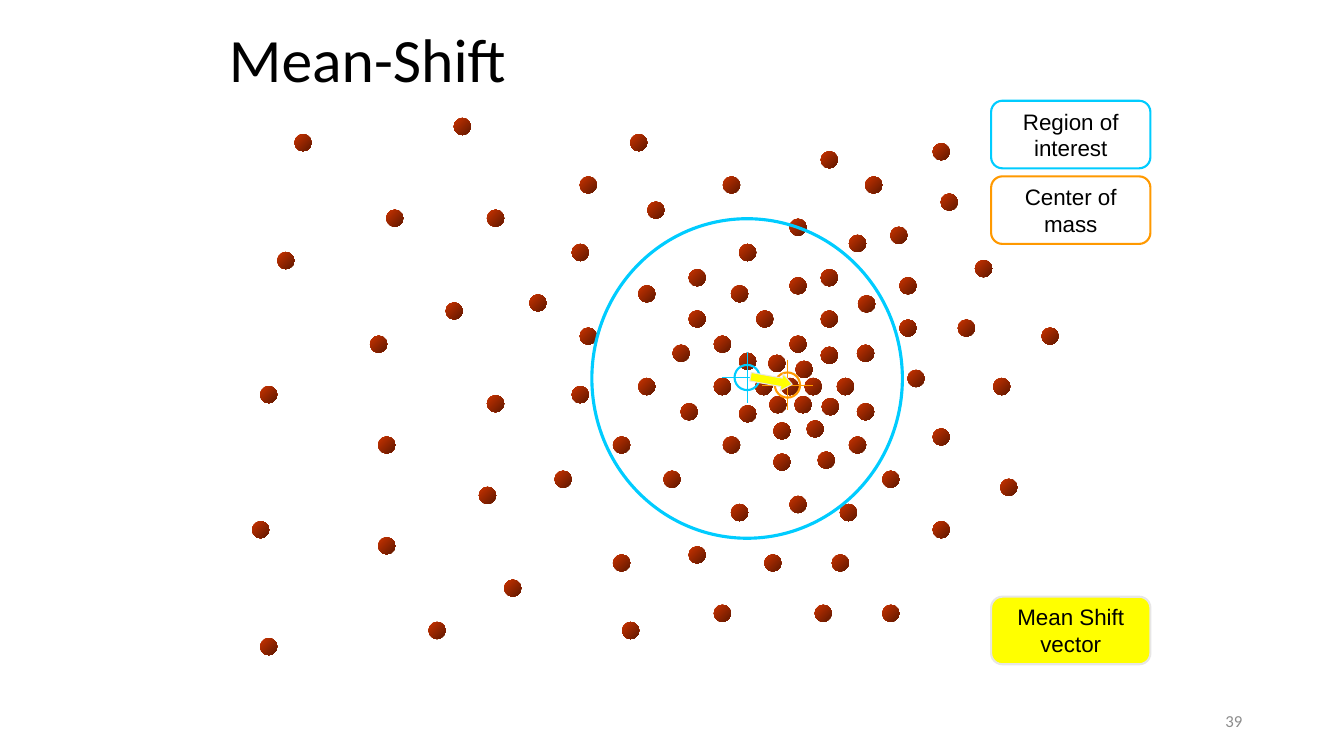
from pptx import Presentation
from pptx.dml.color import RGBColor
from pptx.enum import shapes, text
from pptx.oxml import ns
from pptx.util import Inches, Pt
from lxml import etree

COLORS = {"dot_light": "CC3300", "dot_dark": "5E1800", "region": "00CCFF",
          "mass": "FF9900", "vector": "FFFF00", "edge": "E7E6E6",
          "text": "000000", "number": "8C8C8C"}
SHAPE = shapes.MSO_SHAPE
DOT = 0.17

# Top left corners of the data points, in inches
POINTS = [
    # dense cluster
    (7.75, 3.75), (7.98, 3.75), (7.89, 3.58), (7.62, 3.52), (7.88, 3.93), (7.63, 3.93),
    (8.15, 3.95), (7.49, 3.75), (8.3, 3.75), (8.14, 3.44), (7.83, 3.33), (8, 4.17),
    (7.67, 4.19), (7.33, 4.02), (7.08, 3.75), (7.33, 3.5), (8.5, 4), (8.42, 4.33),
    (8.11, 4.48), (7.67, 4.5), (7.17, 4.33), (6.75, 4), (6.67, 3.42), (7.08, 3.33),
    (7.5, 3.08), (8.14, 3.08), (7.83, 2.75), (6.83, 3.08), (7.25, 2.83), (7.83, 2.17),
    (7.33, 2.42), (8.14, 2.67),
    # right side
    (8.14, 1.5), (8.42, 2.33), (8.51, 2.93), (8.5, 3.42), (8.92, 3.17), (8.92, 2.75),
    (8.83, 2.25), (8.58, 1.75), (9.25, 1.42), (9.33, 1.92), (9.67, 2.58), (9, 3.67),
    (9.5, 3.17), (10.33, 3.25), (9.25, 4.25), (9.85, 3.75), (8.75, 4.67), (9.92, 4.75),
    (9.25, 5.17),
    # bottom
    (8.33, 5), (7.83, 4.92), (8.25, 5.5), (8.75, 6), (8.08, 6), (7.58, 5.5), (7.25, 5),
    (6.58, 4.67), (6.83, 5.42), (7.08, 6), (6.17, 6.17), (6.08, 5.5), (5.5, 4.67),
    # middle and top
    (6.08, 4.33), (6.33, 3.75), (5.75, 3.25), (6.33, 2.83), (6.83, 2.67), (6.42, 2),
    (7.17, 1.75), (6.25, 1.33), (5.75, 1.75), (5.67, 2.42), (5.25, 2.92), (5.67, 3.83),
    # sparse left side
    (4.83, 3.92), (4.75, 4.83), (5, 5.75), (4.25, 6.17), (3.75, 5.33), (3.75, 4.33),
    (4.42, 3), (4.83, 2.08), (3.83, 2.08), (3.67, 3.33), (2.5, 5.17), (2.58, 6.33),
    (2.58, 3.83), (2.75, 2.5), (2.92, 1.33), (4.5, 1.17),
]


def rgb(name):
    return RGBColor.from_string(COLORS[name])


def add_shape(parent, kind, box, line=None, width=1.5, fill=None):
    sp = parent.add_shape(kind, *map(Inches, box))
    sp.shadow.inherit = False
    if fill:
        sp.fill.solid()
        sp.fill.fore_color.rgb = rgb(fill)
    else:
        sp.fill.background()
    if line:
        sp.line.color.rgb = rgb(line)
        sp.line.width = Pt(width)
    else:
        sp.line.fill.background()
    return sp


def format_text(p, size, font, color, align):
    p.alignment = align
    for r in p.runs:
        r.font.size = Pt(size)
        r.font.name = font
        r.font.color.rgb = rgb(color)


def add_title(s, box, title):
    sp = s.shapes.title
    sp.left, sp.top, sp.width, sp.height = map(Inches, box)
    tf = sp.text_frame
    tf.text = title
    tf.vertical_anchor = text.MSO_ANCHOR.MIDDLE
    p = tf.paragraphs[0]
    p.line_spacing = 0.9
    format_text(p, 44, "Calibri", "text", text.PP_ALIGN.LEFT)


def add_point(s, x, y):
    sp = add_shape(s.shapes, SHAPE.OVAL, (x, y, DOT, DOT))
    sp.fill.gradient()
    sp.fill.gradient_angle = 315
    for stop, name in zip(sp.fill.gradient_stops, ("dot_light", "dot_dark")):
        stop.color.rgb = rgb(name)


def add_target(parent, cx, cy, color, ring=0.25, arm=0.25):
    """Small ring with a cross hair, centred on (cx, cy)."""
    add_shape(parent, SHAPE.OVAL, (cx - ring / 2, cy - ring / 2, ring, ring), color)
    for dx, dy in ((0, arm), (arm, 0)):
        ends = (cx - dx, cy - dy, cx + dx, cy + dy)
        line = parent.add_connector(shapes.MSO_CONNECTOR.STRAIGHT, *map(Inches, ends))
        line.line.color.rgb = rgb(color)
        line.line.width = Pt(0.75)
        etree.SubElement(line._element.spPr, ns.qn("a:effectLst"))


def add_region(s, box):
    x, y, w, h = box
    group = s.shapes.add_group_shape().shapes
    add_shape(group, SHAPE.OVAL, box, "region", 2.25)
    add_target(group, x + w / 2, y + h / 2 - 0.01, "region")


def add_label(s, box, lines, line, fill=None):
    sp = add_shape(s.shapes, SHAPE.ROUNDED_RECTANGLE, box, line, fill=fill)
    tf = sp.text_frame
    tf.text = lines
    tf.word_wrap = False
    tf.vertical_anchor = text.MSO_ANCHOR.MIDDLE
    for p in tf.paragraphs:
        format_text(p, 16, "Arial", "text", text.PP_ALIGN.CENTER)


def add_vector(s, box):
    sp = add_shape(s.shapes, SHAPE.RIGHT_ARROW, box, "edge", 0.75, "vector")
    sp.adjustments[1] = 0.625
    sp.rotation = 10.3


def add_number(s, box, number):
    tf = s.shapes.add_textbox(*map(Inches, box)).text_frame
    tf.word_wrap = True
    tf.text = number
    tf.vertical_anchor = text.MSO_ANCHOR.MIDDLE
    format_text(tf.paragraphs[0], 12, "Calibri", "number", text.PP_ALIGN.RIGHT)


def main():
    prs = Presentation()
    prs.slide_width, prs.slide_height = Inches(13.33), Inches(7.5)
    s = prs.slides.add_slide(prs.slide_layouts[5])

    add_title(s, (2.17, 0, 9, 1.25), "Mean-Shift")

    # Data points and region of interest
    for x, y in POINTS:
        add_point(s, x, y)
    add_region(s, (5.87, 2.17, 3.08, 3.17))

    # Legend
    for y, lines, line, fill in ((1, "Region of\ninterest", "region", None),
                                 (1.75, "Center of\nmass", "mass", None),
                                 (5.92, "Mean Shift\nvector", "edge", "vector")):
        add_label(s, (9.83, y, 1.58, 0.67), lines, line, fill)

    # Center of mass and the shift towards it
    add_target(s.shapes.add_group_shape().shapes, 7.81, 3.82, "mass")
    add_vector(s, (7.44, 3.69, 0.42, 0.17))

    add_number(s, (9.42, 6.95, 3, 0.4), "39")
    prs.save("out.pptx")


if __name__ == "__main__":
    main()
